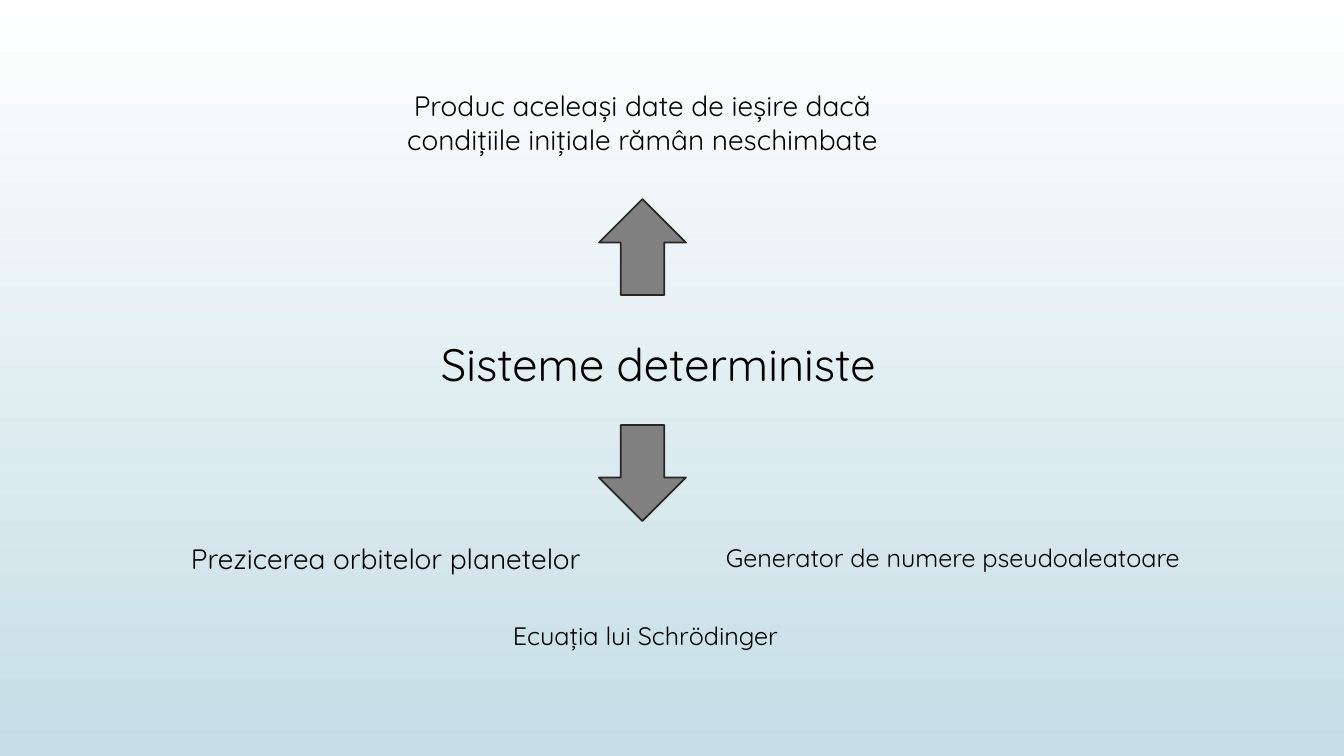
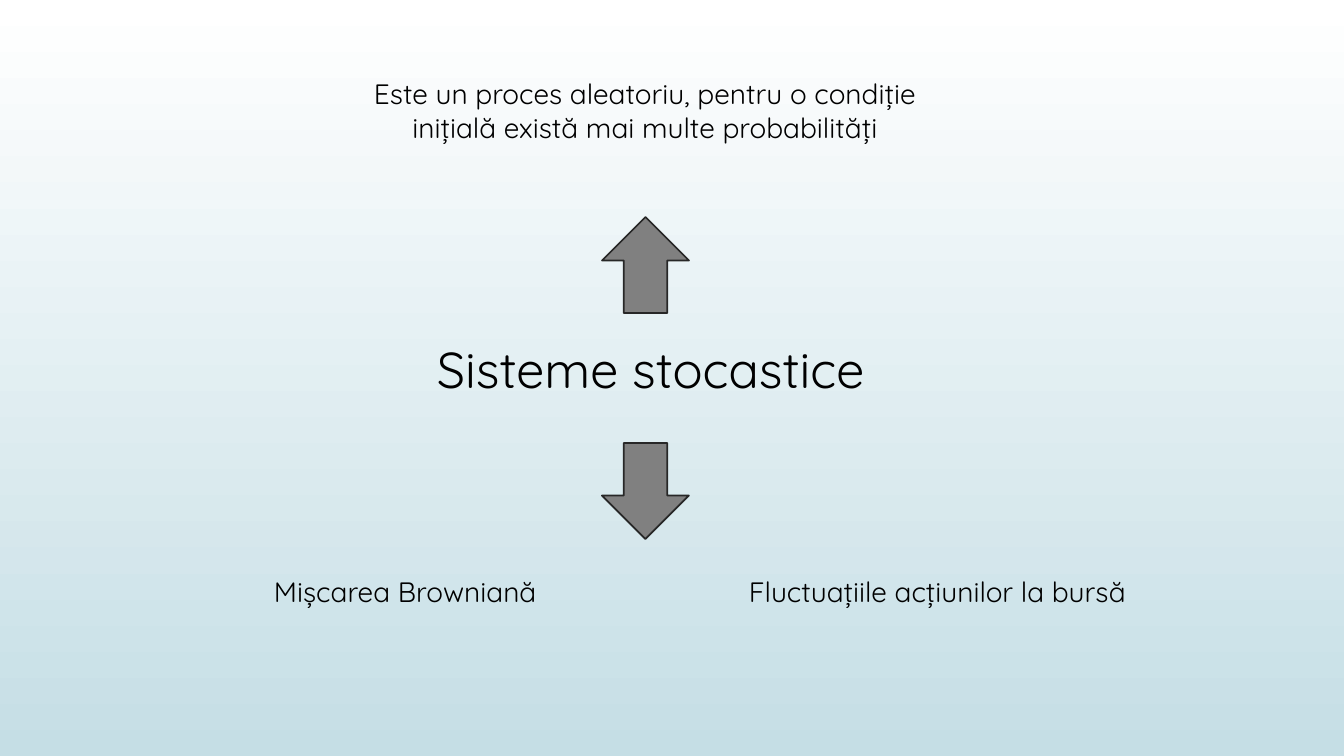
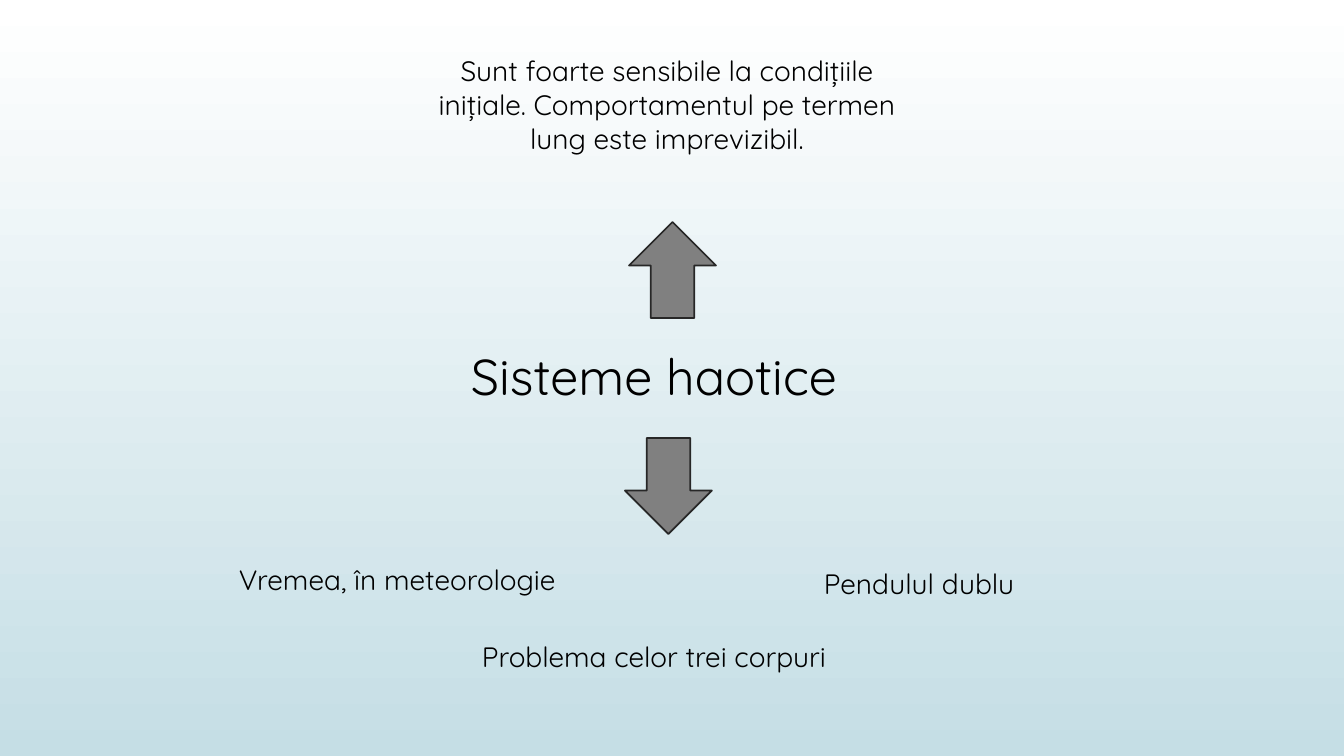
"""Three slides on deterministic, stochastic and chaotic systems."""
from dataclasses import dataclass

from pptx import Presentation
from pptx import util as u
from pptx.dml.color import RGBColor
from pptx.enum import shapes, text


@dataclass(frozen=True)
class Theme:
    top: str = "FFFFFF"
    base: str = "C5DEE5"
    ink: str = "000000"
    fill: str = "808080"
    edge: str = "272727"
    font: str = "Quicksand"
    small: float = 18
    body: float = 20
    tight: float = 32.4
    head: float = 36


look = Theme()
LEFT, MID = text.PP_ALIGN.LEFT, text.PP_ALIGN.CENTER
WIDE, HIGH = 1344, 756
SCALE = 12192000 / WIDE


def px(*nums):
    return [u.Emu(round(n * SCALE)) for n in nums]


def write(page, words, size, align, box):
    frame = page.shapes.add_textbox(*px(*box)).text_frame
    frame.word_wrap = True
    para = frame.paragraphs[0]
    para.alignment = align
    run = para.add_run()
    run.text = words
    style = {"name": look.font, "size": u.Pt(size)}
    for key, val in style.items():
        setattr(run.font, key, val)
    run.font.color.rgb = RGBColor.from_string(look.ink)


pages = [
    {
        "title": ("Sisteme deterministe", look.tight, (431, 331, 481, 96)),
        "note": ("Produc aceleași date de ieșire dacă condițiile inițiale rămân neschimbate",
                 (347, 84, 591, 78)),
        "up": (599, 199),
        "down": (599, 425),
        "items": [
            ("Prezicerea orbitelor planetelor", look.body, (181, 537, 430, 44)),
            ("Generator de numere pseudoaleatoare", look.small, (716, 537, 544, 40)),
            ("Ecuația lui Schrödinger", look.small, (503, 615, 346, 40)),
        ],
    },
    {
        "title": ("Sisteme stocastice", look.head, (427, 333, 488, 92)),
        "note": ("Este un proces aleatoriu, pentru o condiție inițială există mai multe probabilități",
                 (344, 72, 602, 78)),
        "up": (602, 217),
        "down": (602, 443),
        "items": [
            ("Mișcarea Browniană", look.body, (264, 570, 301, 44)),
            ("Fluctuațiile acțiunilor la bursă", look.body, (739, 570, 414, 44)),
        ],
    },
    {
        "title": ("Sisteme haotice", look.head, (461, 340, 421, 77)),
        "note": ("Sunt foarte sensibile la condițiile inițiale. Comportamentul pe termen lung este imprevizibil.",
                 (411, 49, 512, 112)),
        "up": (629, 222),
        "down": (625, 438),
        "items": [
            ("Vremea, în meteorologie", look.body, (229, 558, 366, 44)),
            ("Pendulul dublu", look.body, (814, 562, 381, 44)),
            ("Problema celor trei corpuri", look.body, (472, 635, 401, 44)),
        ],
    },
]

deck = Presentation()
deck.slide_width, deck.slide_height = px(WIDE, HIGH)

back = deck.slide_master.background.fill
back.gradient()
back.gradient_angle = 270
for stop, tone, spot in zip(back.gradient_stops, (look.top, look.base), (0, 1)):
    stop.color.rgb = RGBColor.from_string(tone)
    stop.position = spot

for page in pages:
    slide = deck.slides.add_slide(deck.slide_layouts[6])
    words, size, box = page["title"]
    write(slide, words, size, LEFT, box)
    words, box = page["note"]
    write(slide, words, look.body, MID, box)
    for way, turn in (("up", 180), ("down", 0)):
        arrow = slide.shapes.add_shape(shapes.MSO_SHAPE.DOWN_ARROW, *px(*page[way], 87, 96))
        arrow.rotation = turn
        arrow.shadow.inherit = False
        arrow.fill.solid()
        arrow.fill.fore_color.rgb = RGBColor.from_string(look.fill)
        arrow.line.color.rgb = RGBColor.from_string(look.edge)
        arrow.line.width = u.Pt(1.25)
    for words, size, box in page["items"]:
        write(slide, words, size, LEFT, box)

deck.save("out.pptx")
